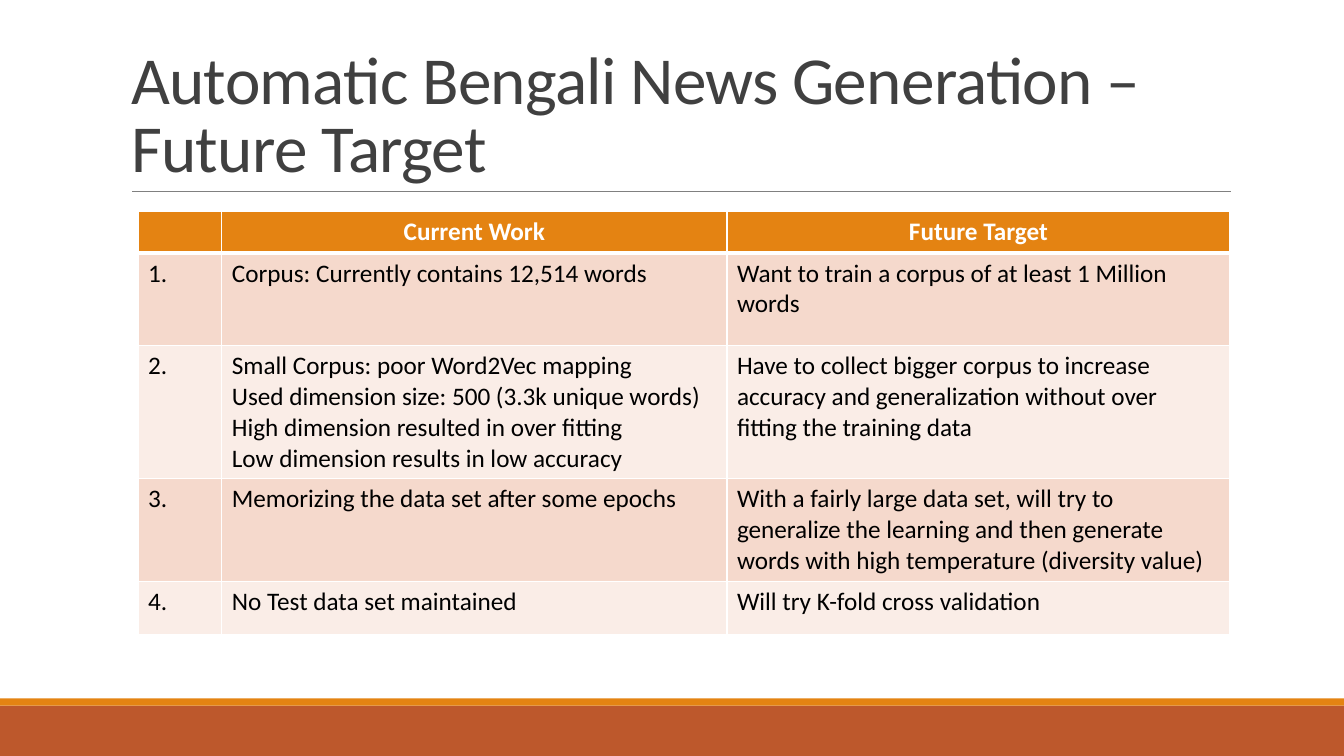
from dataclasses import dataclass

from lxml import etree
from pptx import Presentation
from pptx import util as u
from pptx.dml.color import RGBColor
from pptx.enum import shapes, text
from pptx.oxml import ns


@dataclass(frozen=True)
class Theme:
    font: str = "Calibri"
    title_size: int = 48
    table_size: int = 18
    title: str = "404040"
    accent: str = "E48312"
    footer: str = "BD582C"
    rule: str = "808080"
    white: str = "FFFFFF"
    black: str = "000000"
    bands: tuple = ("F5D9CC", "FAEDE7")


class SlideBuilder:
    def __init__(self, presentation, theme):
        self.theme = theme
        self.slide = presentation.slides.add_slide(presentation.slide_layouts[5])

    def style(self, paragraph, size, color, bold=False):
        font = paragraph.font
        font.name, font.size, font.bold = self.theme.font, u.Pt(size), bold
        font.color.rgb = RGBColor.from_string(color)

    def bar(self, left, top, width, height, color):
        shape = self.slide.shapes.add_shape(
            shapes.MSO_SHAPE.RECTANGLE, *map(u.Inches, (left, top, width, height)))
        shape.shadow.inherit = False
        shape.fill.solid()
        shape.fill.fore_color.rgb = RGBColor.from_string(color)
        shape.line.fill.background()

    def rule(self, left, right, y):
        line = self.slide.shapes.add_connector(
            shapes.MSO_CONNECTOR.STRAIGHT, *map(u.Inches, (left, y, right, y)))
        line.line.color.rgb = RGBColor.from_string(self.theme.rule)
        line.line.width = u.Pt(0.5)
        etree.SubElement(line._element.spPr, ns.qn("a:effectLst"))

    def title(self, wording, left, top, width, height):
        shape = self.slide.shapes.title
        shape.left, shape.top, shape.width, shape.height = map(
            u.Inches, (left, top, width, height))
        frame = shape.text_frame
        frame.text = wording
        frame.word_wrap = True
        frame.auto_size = text.MSO_AUTO_SIZE.NONE
        frame.vertical_anchor = text.MSO_ANCHOR.BOTTOM
        paragraph = frame.paragraphs[0]
        paragraph.alignment = text.PP_ALIGN.LEFT
        paragraph.line_spacing = 0.85
        self.style(paragraph, self.theme.title_size, self.theme.title)
        paragraph.runs[0].font._element.set("spc", "-50")

    def borders(self, cell, top, bottom):
        properties = cell._tc.get_or_add_tcPr()
        for side, width in (("L", 1), ("R", 1), ("T", top), ("B", bottom)):
            line = etree.SubElement(properties, ns.qn(f"a:ln{side}"), w=str(u.Pt(width)))
            fill = etree.SubElement(line, ns.qn("a:solidFill"))
            etree.SubElement(fill, ns.qn("a:srgbClr"), val=self.theme.white)

    def table(self, rows, left, top, widths, heights):
        table = self.slide.shapes.add_table(
            len(rows), len(widths), *map(u.Inches, (left, top, sum(widths), sum(heights)))).table
        for column, width in zip(table.columns, widths):
            column.width = u.Inches(width)
        for index, (row, height, wordings) in enumerate(zip(table.rows, heights, rows)):
            row.height = u.Inches(height)
            header = index == 0
            fill = self.theme.accent if header else self.theme.bands[(index - 1) % 2]
            color = self.theme.white if header else self.theme.black
            for cell, wording in zip(row.cells, wordings):
                self.borders(cell, 3 if index == 1 else 1, 3 if header else 1)
                cell.fill.solid()
                cell.fill.fore_color.rgb = RGBColor.from_string(fill)
                cell.text = wording
                for paragraph in cell.text_frame.paragraphs:
                    self.style(paragraph, self.theme.table_size, color, header)
                    if header:
                        paragraph.alignment = text.PP_ALIGN.CENTER


ROWS = [
    ("", "Current Work", "Future Target"),
    ("1.", "Corpus: Currently contains 12,514 words",
     "Want to train a corpus of at least 1 Million words"),
    ("2.", "Small Corpus: poor Word2Vec mapping\n"
           "Used dimension size: 500 (3.3k unique words)\n"
           "High dimension resulted in over fitting\n"
           "Low dimension results in low accuracy",
     "Have to collect bigger corpus to increase accuracy and generalization "
     "without over fitting the training data"),
    ("3.", "Memorizing the data set after some epochs",
     "With a fairly large data set, will try to generalize the learning and then "
     "generate words with high temperature (diversity value)"),
    ("4.", "No Test data set maintained", "Will try K-fold cross validation"),
]


def main():
    presentation = Presentation()
    presentation.slide_width, presentation.slide_height = u.Inches(13.33), u.Inches(7.5)
    theme = Theme()
    builder = SlideBuilder(presentation, theme)

    # Footer bands
    builder.bar(0, 7, 13.33, 0.5, theme.footer)
    builder.bar(0, 6.93, 13.33, 0.07, theme.accent)

    # Heading
    builder.rule(1.31, 12.21, 1.9)
    builder.title("Automatic Bengali News Generation – Future Target", 1.2, 0.31, 11, 1.59)

    # Comparison of current work and targets
    builder.table(ROWS, 1.37, 2.1, widths=(0.83, 5.01, 4.99),
                  heights=(0.41, 0.92, 1.32, 1.01, 0.53))

    presentation.save("out.pptx")


if __name__ == "__main__":
    main()
